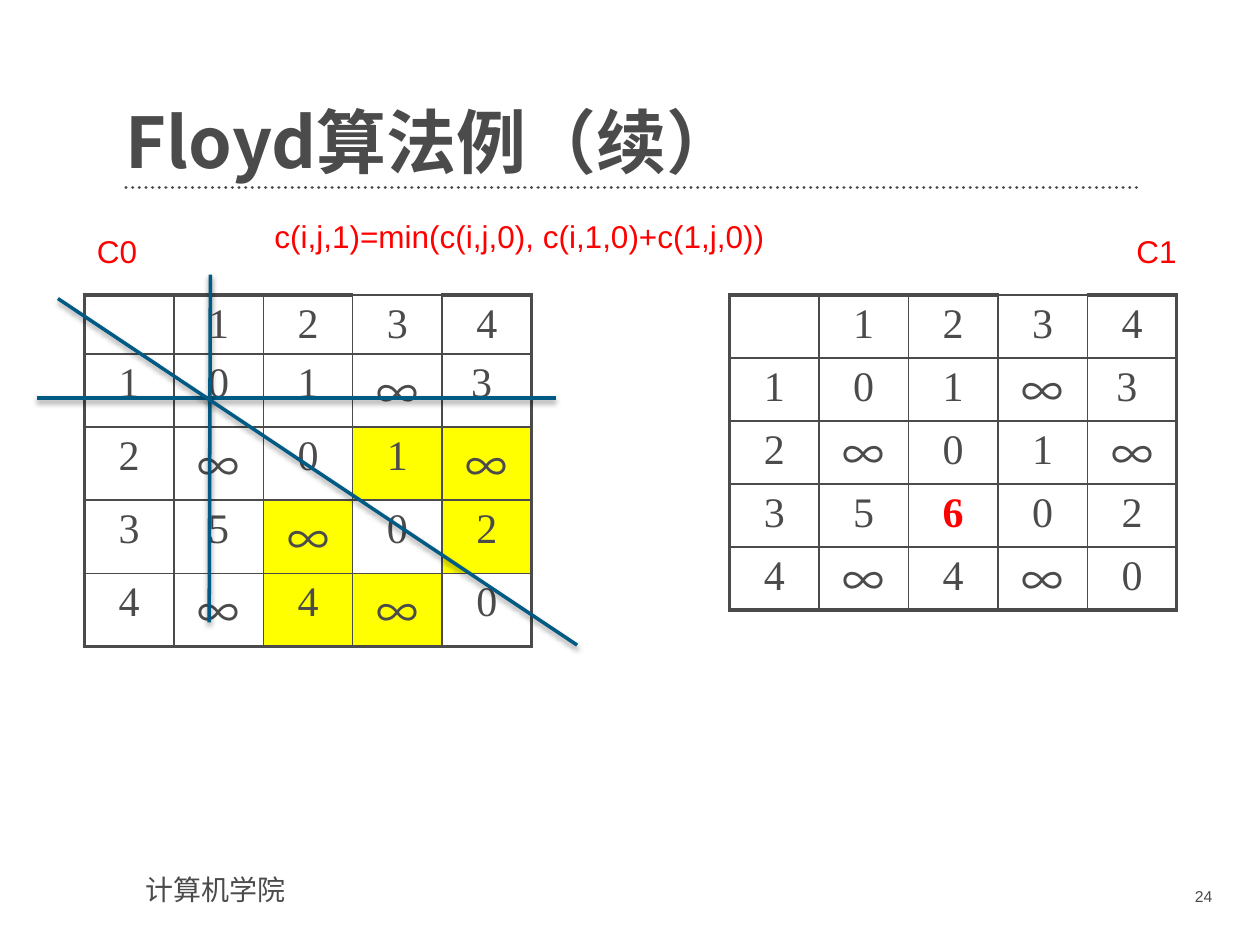
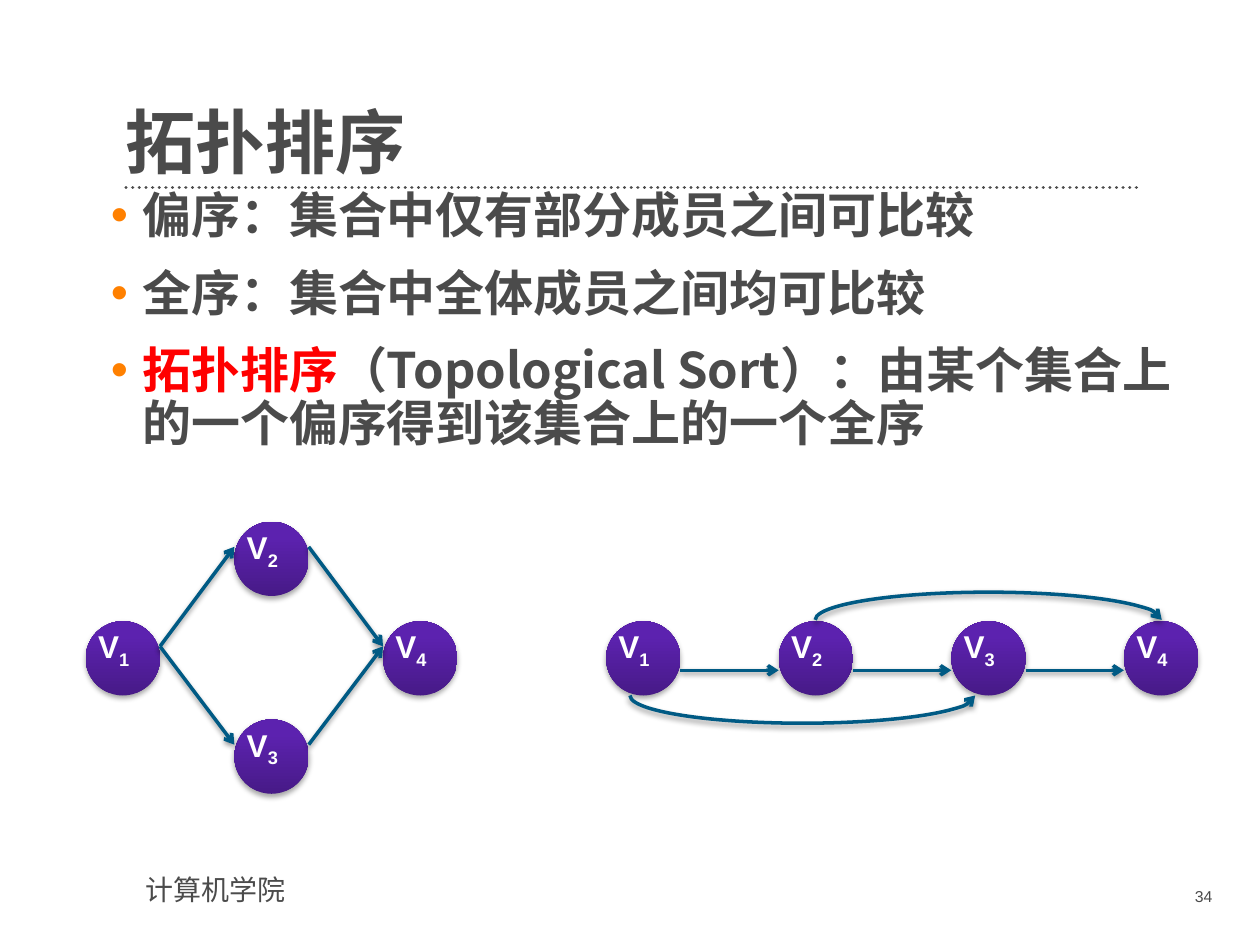
from lxml.etree import SubElement
from pptx import Presentation
from pptx.dml.color import RGBColor
from pptx.enum.dml import MSO_LINE
from pptx.enum.shapes import MSO_CONNECTOR, MSO_SHAPE
from pptx.enum.text import MSO_ANCHOR, PP_ALIGN
from pptx.oxml.ns import qn
from pptx.util import Inches, Pt

# Shared look
GREY = RGBColor(0x4B, 0x4B, 0x4B)
RED = RGBColor(0xFF, 0x00, 0x00)
YELLOW = RGBColor(0xFF, 0xFF, 0x00)
TEAL = RGBColor(0x00, 0x5A, 0x84)
WHITE = RGBColor(0xFF, 0xFF, 0xFF)
ORANGE = RGBColor(0xFF, 0x80, 0x00)
PURPLE_DARK = RGBColor(0x47, 0x1A, 0x87)
PURPLE = RGBColor(0x5C, 0x22, 0xAF)
SANS, CJK, SERIF = "Arial", "Noto Sans CJK SC", "Times New Roman"
DEFAULT_INSETS = (0.1, 0.05, 0.1, 0.05)

# Distance matrices, header row first
C0 = [["", "1", "2", "3", "4"],
      ["1", "0", "1", "∞", "3 "],
      ["2", "∞", "0", "1", "∞"],
      ["3", "5", "∞", "0", "2"],
      ["4", "∞", "4", "∞", "0"]]
C1 = [row[:] for row in C0]
C1[3][2] = "6"
CHECKED = {(2, 3), (2, 4), (3, 2), (3, 4), (4, 2), (4, 3)}
COL_W = 0.71

NODE = 0.59
PORT = 0.2


# Text
def style_run(r, size, color=GREY, font=SANS, bold=False):
    r.font.size, r.font.bold, r.font.name = Pt(size), bold, font
    r.font.color.rgb = color
    SubElement(r._r.get_or_add_rPr(), qn("a:ea")).set("typeface", CJK)


def add_box(s, box, insets=DEFAULT_INSETS):
    tf = s.shapes.add_textbox(*map(Inches, box)).text_frame
    tf.word_wrap = True
    tf.margin_left, tf.margin_top, tf.margin_right, tf.margin_bottom = map(Inches, insets)
    return tf


def add_label(s, box, text, size, color=GREY, align=PP_ALIGN.LEFT):
    p = add_box(s, box).paragraphs[0]
    p.text = text
    p.alignment = align
    style_run(p.runs[0], size, color)


def add_title(s, text):
    tf = add_box(s, (1, 0.55, 8.06, 0.91), (0, 0, 0, 0))
    tf.vertical_anchor = MSO_ANCHOR.BOTTOM
    p = tf.paragraphs[0]
    p.text = text
    p.line_spacing = 0.9
    style_run(p.runs[0], 40, font=CJK, bold=True)


def set_bullet(p):
    pPr = p._p.get_or_add_pPr()
    pPr.set("marL", str(Inches(0.25)))
    pPr.set("indent", str(-Inches(0.25)))
    color = SubElement(pPr, qn("a:buClr"))
    SubElement(color, qn("a:srgbClr")).set("val", str(ORANGE))
    SubElement(pPr, qn("a:buFont")).set("typeface", SANS)
    SubElement(pPr, qn("a:buChar")).set("char", "•")


def add_bullets(s, box, items):
    tf = add_box(s, box, (0, 0, 0.2, 0))
    for i, parts in enumerate(items):
        p = tf.add_paragraph() if i else tf.paragraphs[0]
        p.line_spacing = 0.9
        p.space_before = Pt(14 if i else 0)
        set_bullet(p)
        for text, color in parts:
            r = p.add_run()
            r.text = text
            style_run(r, 28, color, CJK, True)


# Lines and shadows
def add_shadow(sp, alpha):
    spPr = sp._element.spPr
    shadow = SubElement(SubElement(spPr, qn("a:effectLst")), qn("a:outerShdw"),
                        blurRad=str(Pt(3.1)), dist=str(Pt(1.7)), dir="5400000",
                        algn="ctr", rotWithShape="0")
    color = SubElement(shadow, qn("a:srgbClr"), val="000000")
    SubElement(color, qn("a:alpha"), val=str(alpha * 1000))


def style_line(sp, arrow_end=None):
    sp.line.color.rgb = TEAL
    sp.line.width = Pt(2)
    if arrow_end:
        SubElement(sp.line._get_or_add_ln(), qn(arrow_end), type="arrow")
    add_shadow(sp, 38)


def connect(s, start, end):
    points = map(Inches, (*start, *end))
    return s.shapes.add_connector(MSO_CONNECTOR.STRAIGHT, *points)


def add_arrow(s, start, end):
    style_line(connect(s, start, end), "a:tailEnd")


def add_arc_arrow(s, x1, x2, y, above):
    """Half ellipse from x1 to x2, with the arrowhead at x2."""
    rise = 0.22
    sp = s.shapes.add_shape(MSO_SHAPE.ARC, Inches(x1), Inches(y - rise),
                            Inches(x2 - x1), Inches(2 * rise))
    sp.adjustments[0], sp.adjustments[1] = (108, 0) if above else (0, 108)
    sp.fill.background()
    style_line(sp, "a:tailEnd" if above else "a:headEnd")


# Tables
def set_borders(cell, row, col, last):
    tcPr = cell._tc.get_or_add_tcPr()
    outer = {"a:lnL": col == 0, "a:lnR": col == last,
             "a:lnT": row == 0 and col != 3, "a:lnB": row == last}
    for tag, thick in outer.items():
        ln = SubElement(tcPr, qn(tag), w=str(Pt(2.25 if thick else 1)))
        fill = SubElement(ln, qn("a:solidFill"))
        SubElement(fill, qn("a:srgbClr"), val=str(GREY))


def add_matrix(s, left, values, row_heights, yellow=(), changed=()):
    n = len(values)
    frame = s.shapes.add_table(n, n, Inches(left), Inches(2.34),
                               Inches(n * COL_W), Inches(sum(row_heights)))
    table = frame.table
    table.first_row = table.horz_banding = False
    for col in table.columns:
        col.width = Inches(COL_W)
    for i, height in enumerate(row_heights):
        table.rows[i].height = Inches(height)
        for j, text in enumerate(values[i]):
            cell = table.cell(i, j)
            set_borders(cell, i, j, n - 1)
            if (i, j) in yellow:
                cell.fill.solid()
                cell.fill.fore_color.rgb = YELLOW
            else:
                cell.fill.background()
            infinite = text == "∞"
            cell.margin_top = Inches(0.01 if infinite and height <= 0.5 else 0.05)
            cell.margin_bottom = 0
            p = cell.text_frame.paragraphs[0]
            p.text = text
            p.alignment = PP_ALIGN.CENTER
            hit = (i, j) in changed
            for r in p.runs:
                style_run(r, 24, RED if hit else GREY, CJK if infinite else SERIF, hit)


# Graph nodes
def add_node(s, number, x, y):
    sp = s.shapes.add_shape(MSO_SHAPE.FLOWCHART_CONNECTOR,
                            *map(Inches, (x, y, NODE, NODE)))
    sp.fill.gradient()
    sp.fill.gradient_angle = 90
    for stop, color, position in zip(sp.fill.gradient_stops, (PURPLE_DARK, PURPLE), (0, 0.8)):
        stop.color.rgb = color
        stop.position = position
    sp.line.fill.background()
    add_shadow(sp, 35)
    p = add_box(s, (x, y, NODE, 0.4)).paragraphs[0]
    for text in ("V", str(number)):
        r = p.add_run()
        r.text = text
        style_run(r, 18, WHITE, bold=True)
    r.font._element.set("baseline", "-25000")


# Slides
def add_base_slide(prs, title, number):
    s = prs.slides.add_slide(prs.slide_layouts[6])
    rule = connect(s, (1, 1.49), (9.06, 1.49))
    rule.line.color.rgb = GREY
    rule.line.width = Pt(1.9)
    rule.line.dash_style = MSO_LINE.ROUND_DOT
    rule.line._get_or_add_ln().set("cap", "rnd")
    SubElement(rule._element.spPr, qn("a:effectLst"))
    add_label(s, (1.06, 6.88, 2.56, 0.37), "计算机学院", 16)
    add_label(s, (8.73, 6.99, 0.99, 0.29), str(number), 9, align=PP_ALIGN.RIGHT)
    add_title(s, title)
    return s


def build_floyd(prs):
    s = add_base_slide(prs, "Floyd算法例（续）", 24)
    add_matrix(s, 0.67, C0, [0.47] + [0.58] * 4, yellow=CHECKED)
    add_matrix(s, 5.79, C1, [0.5] * 5, changed={(3, 2)})
    add_label(s, (0.67, 1.79, 0.75, 0.4), "C0", 18, RED)
    add_label(s, (8.92, 1.79, 0.75, 0.4), "C1", 18, RED)
    add_label(s, (2.08, 1.67, 7.58, 0.4),
              "c(i,j,1)=min(c(i,j,0), c(i,1,0)+c(1,j,0))", 18, RED)
    # Row, column and diagonal that stay unchanged
    for start, end in (((0.29, 3.16), (4.41, 3.16)),
                       ((1.66, 4.94), (1.67, 2.18)),
                       ((0.46, 2.37), (4.58, 5.12))):
        style_line(connect(s, start, end))


def build_topological_sort(prs):
    s = add_base_slide(prs, "拓扑排序", 34)
    add_bullets(s, (0.88, 1.52, 8.91, 2.75), [
        [("偏序：集合中仅有部分成员之间可比较", GREY)],
        [("全序：集合中全体成员之间均可比较", GREY)],
        [("拓扑排序", RED),
         ("（Topological Sort）：由某个集合上的一个偏序得到该集合上的一个全序", GREY)],
    ])
    # Partial order
    partial = {1: (0.68, 4.93), 2: (1.86, 4.14), 3: (1.86, 5.71), 4: (3.04, 4.93)}
    for number, (x, y) in partial.items():
        add_node(s, number, x, y)
    for a, b in ((1, 2), (1, 3), (2, 4), (3, 4)):
        (xa, ya), (xb, yb) = partial[a], partial[b]
        add_arrow(s, (xa + NODE, ya + PORT), (xb, yb + PORT))
    # Total order
    total = [4.81 + 1.37 * i for i in range(4)]
    for number, x in enumerate(total, 1):
        add_node(s, number, x, 4.93)
    for a, b in zip(total, total[1:]):
        add_arrow(s, (a + NODE, 5.32), (b, 5.32))
    add_arc_arrow(s, 6.47, 9.22, 4.92, above=True)
    add_arc_arrow(s, 5, 7.74, 5.52, above=False)


def main():
    prs = Presentation()
    prs.slide_width, prs.slide_height = Inches(10), Inches(7.5)
    build_floyd(prs)
    build_topological_sort(prs)
    prs.save("out.pptx")


if __name__ == "__main__":
    main()
